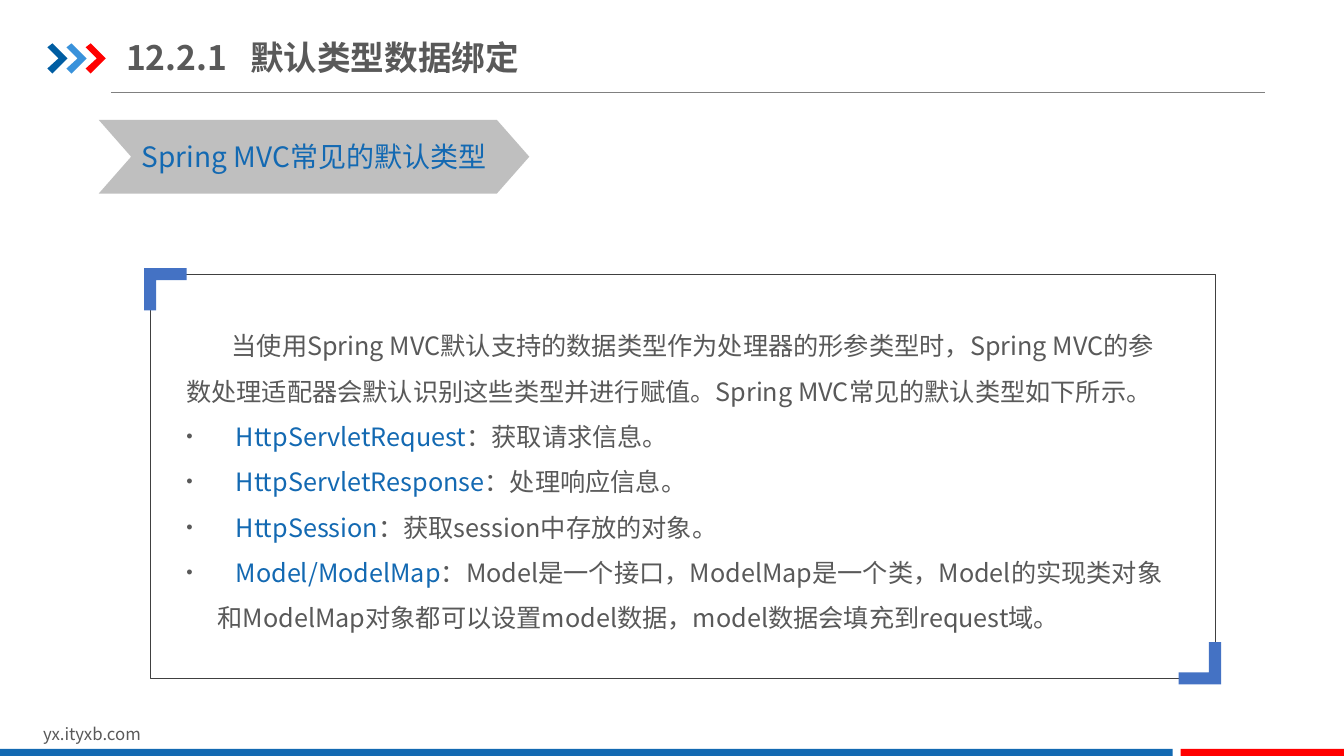
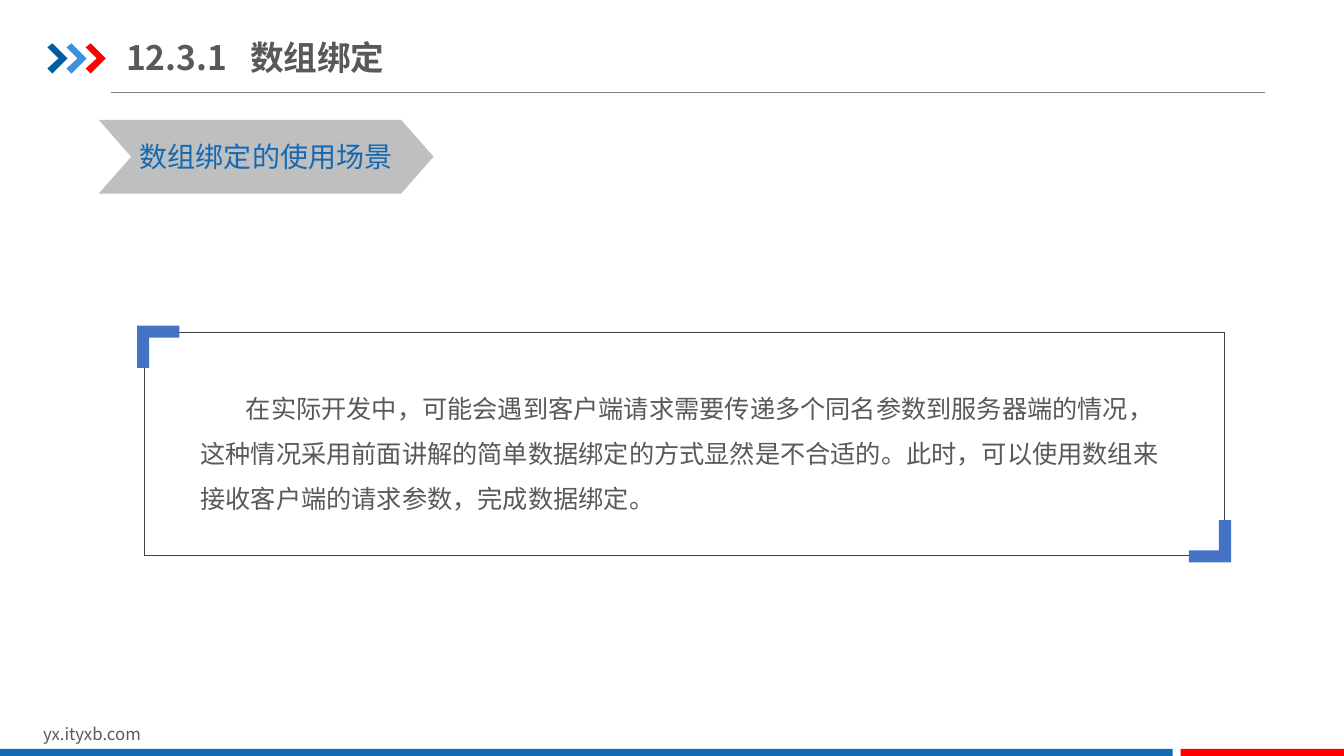
import pptx
import pptx.dml.color
import pptx.enum.shapes
import pptx.enum.text
import pptx.oxml
import pptx.oxml.ns
import pptx.util
from dataclasses import dataclass

Inches = pptx.util.Inches
Shapes = pptx.enum.shapes.MSO_SHAPE
Anchor = pptx.enum.text.MSO_ANCHOR
Align = pptx.enum.text.PP_ALIGN


@dataclass(frozen=True)
class Theme:
    font: str = "Noto Sans CJK SC"
    text: str = "595959"
    blue: str = "1369B2"
    red: str = "FF0000"
    banner: str = "BFBFBF"
    bracket: str = "4472C4"
    frame: str = "404040"
    rule: str = "808080"
    arrows: tuple = ("005DA2", "3992DB", "FF0000")
    title_size: int = 24
    banner_size: int = 20
    body_size: int = 18
    item_gap_size: int = 13
    footer_size: int = 12


theme = Theme()


def paint(shape, fill=None, line=None):
    """Give a shape a flat fill and a hairline, or none of either."""
    shape.shadow.inherit = False
    if fill:
        shape.fill.solid()
        shape.fill.fore_color.rgb = pptx.dml.color.RGBColor.from_string(fill)
    else:
        shape.fill.background()
    if line:
        shape.line.color.rgb = pptx.dml.color.RGBColor.from_string(line)
        shape.line.width = pptx.util.Pt(0.25)
    else:
        shape.line.fill.background()


def add_run(paragraph, text, size, color=theme.text, bold=False):
    """Add a run whose Latin and East Asian letters share the theme font."""
    run = paragraph.add_run()
    run.text = text
    run.font.color.rgb = pptx.dml.color.RGBColor.from_string(color)
    formats = {"name": theme.font, "size": pptx.util.Pt(size), "bold": bold}
    for name, value in formats.items():
        setattr(run.font, name, value)
    east_asian = pptx.oxml.parse_xml(
        f'<a:ea {pptx.oxml.ns.nsdecls("a")} typeface="{theme.font}"/>')
    run.font._element.append(east_asian)


# Boxes are left, top, width, height in inches
slides = [
    {
        "number": "12.2.1",
        "title": "默认类型数据绑定",
        "banner": "Spring MVC常见的默认类型",
        "banner_width": 4.27,
        "frame": (1.49, 2.72, 10.56, 4.01),
        "overhang": 0.06,
        "body": (1.75, 3.08, 9.94, 3.26),
        "intro": "当使用Spring MVC默认支持的数据类型作为处理器的形参类型时，"
                 "Spring MVC的参数处理适配器会默认识别这些类型并进行赋值。"
                 "Spring MVC常见的默认类型如下所示。",
        "items": [
            ("HttpServletRequest", "：获取请求信息。"),
            ("HttpServletResponse", "：处理响应信息。"),
            ("HttpSession", "：获取session中存放的对象。"),
            ("Model/ModelMap",
             "：Model是一个接口，ModelMap是一个类，Model的实现类对象和ModelMap"
             "对象都可以设置model数据，model数据会填充到request域。"),
        ],
    },
    {
        "number": "12.3.1",
        "title": "数组绑定",
        "banner": "数组绑定的使用场景",
        "banner_width": 3.32,
        "frame": (1.43, 3.3, 10.71, 2.21),
        "overhang": 0.07,
        "body": (1.89, 3.7, 9.71, 1.52),
        "intro": "在实际开发中，可能会遇到客户端请求需要传递多个同名参数到服务器端的情况，"
                 "这种情况采用前面讲解的简单数据绑定的方式显然是不合适的。"
                 "此时，可以使用数组来接收客户端的请求参数，完成数据绑定。",
        "items": [],
    },
]

arrow_outline = [(0, 0.04), (0.05, 0), (0.2, 0.15), (0.05, 0.3), (0, 0.25), (0.11, 0.15)]
bracket_outline = [(0, 0), (0.42, 0), (0.42, 0.12), (0.12, 0.12), (0.12, 0.42), (0, 0.42)]
footer_bands = [(0, 11.63, theme.blue), (11.71, 1.63, theme.red)]

presentation = pptx.Presentation()
presentation.slide_width = Inches(13.33)
presentation.slide_height = Inches(7.5)
title_only = presentation.slide_layouts[5]

for content in slides:
    slide = presentation.slides.add_slide(title_only)
    shapes = slide.shapes

    # Header rule
    rule = shapes.add_connector(pptx.enum.shapes.MSO_CONNECTOR.STRAIGHT,
                                Inches(1.1), Inches(0.92), Inches(12.55), Inches(0.92))
    rule.line.color.rgb = pptx.dml.color.RGBColor.from_string(theme.rule)
    rule.line.width = pptx.util.Pt(0.5)
    rule._element.spPr.append(
        pptx.oxml.parse_xml(f'<a:effectLst {pptx.oxml.ns.nsdecls("a")}/>'))

    # Outlines: three header arrows, then the two frame brackets
    left, top, width, height = content["frame"]
    overhang = content["overhang"]
    outlines = [(arrow_outline, 0.47 + 0.19 * index, 0.43, 1, color)
                for index, color in enumerate(theme.arrows)]
    outlines += [
        (bracket_outline, left - overhang, top - overhang, 1, theme.bracket),
        (bracket_outline, left + width + overhang, top + height + overhang, -1, theme.bracket),
    ]

    frame = shapes.add_shape(Shapes.RECTANGLE, *map(Inches, content["frame"]))
    paint(frame, line=theme.frame)
    for outline, x, y, direction, color in outlines:
        points = [(Inches(x + direction * dx), Inches(y + direction * dy)) for dx, dy in outline]
        builder = shapes.build_freeform(*points[0])
        builder.add_line_segments(points[1:], close=True)
        paint(builder.convert_to_shape(), fill=color)

    # Footer
    footer = shapes.add_textbox(Inches(0.33), Inches(7.13), Inches(3.18), Inches(0.3))
    footer.text_frame.word_wrap = True
    add_run(footer.text_frame.paragraphs[0], "yx.ityxb.com", theme.footer_size)
    for band_left, band_width, color in footer_bands:
        band = shapes.add_shape(Shapes.RECTANGLE, Inches(band_left), Inches(7.43),
                                Inches(band_width), Inches(0.09))
        paint(band, fill=color)

    # Title, with a tab stop between number and name
    title = shapes.title
    placement = {"left": 1.25, "top": 0.29, "width": 4.41, "height": 0.55}
    for name, value in placement.items():
        setattr(title, name, Inches(value))
    title_format = {
        "margin_left": 0, "margin_right": 0,
        "margin_top": Inches(0.07), "margin_bottom": Inches(0.07),
        "vertical_anchor": Anchor.MIDDLE, "word_wrap": True,
        "auto_size": pptx.enum.text.MSO_AUTO_SIZE.NONE,
    }
    for name, value in title_format.items():
        setattr(title.text_frame, name, value)
    paragraph = title.text_frame.paragraphs[0]
    paragraph.alignment = Align.LEFT
    paragraph._p.get_or_add_pPr().append(pptx.oxml.parse_xml(
        f'<a:tabLst {pptx.oxml.ns.nsdecls("a")}>'
        f'<a:tab pos="{Inches(1.23)}" algn="l"/></a:tabLst>'))
    add_run(paragraph, f'{content["number"]}\t{content["title"]}', theme.title_size, bold=True)

    # Section banner
    banner = shapes.add_shape(Shapes.CHEVRON, Inches(0.98), Inches(1.19),
                              Inches(content["banner_width"]), Inches(0.73))
    banner.adjustments[0] = 0.44
    paint(banner, fill=theme.banner)
    banner.text_frame.word_wrap = False
    banner.text_frame.vertical_anchor = Anchor.MIDDLE
    paragraph = banner.text_frame.paragraphs[0]
    paragraph.alignment = Align.CENTER
    add_run(paragraph, content["banner"], theme.banner_size, theme.blue)

    # Body text
    body = shapes.add_textbox(*map(Inches, content["body"]))
    body.text_frame.word_wrap = True
    paragraph = body.text_frame.paragraphs[0]
    paragraph.line_spacing = 1.5
    paragraph._p.get_or_add_pPr().set("indent", str(Inches(0.45)))
    add_run(paragraph, content["intro"], theme.body_size)
    for term, explanation in content["items"]:
        paragraph = body.text_frame.add_paragraph()
        paragraph.line_spacing = 1.5
        properties = paragraph._p.get_or_add_pPr()
        properties.set("marL", str(Inches(0.31)))
        properties.set("indent", str(-Inches(0.31)))
        bullet_parts = [f'buSzPts {{}} val="{theme.body_size * 100}"',
                        'buFont {} typeface="Arial"', 'buChar {} char="•"']
        for part in bullet_parts:
            properties.append(pptx.oxml.parse_xml(
                f'<a:{part.format(pptx.oxml.ns.nsdecls("a"))}/>'))
        add_run(paragraph, "　", theme.item_gap_size)
        add_run(paragraph, term, theme.body_size, theme.blue)
        add_run(paragraph, explanation, theme.body_size)

presentation.save("out.pptx")
